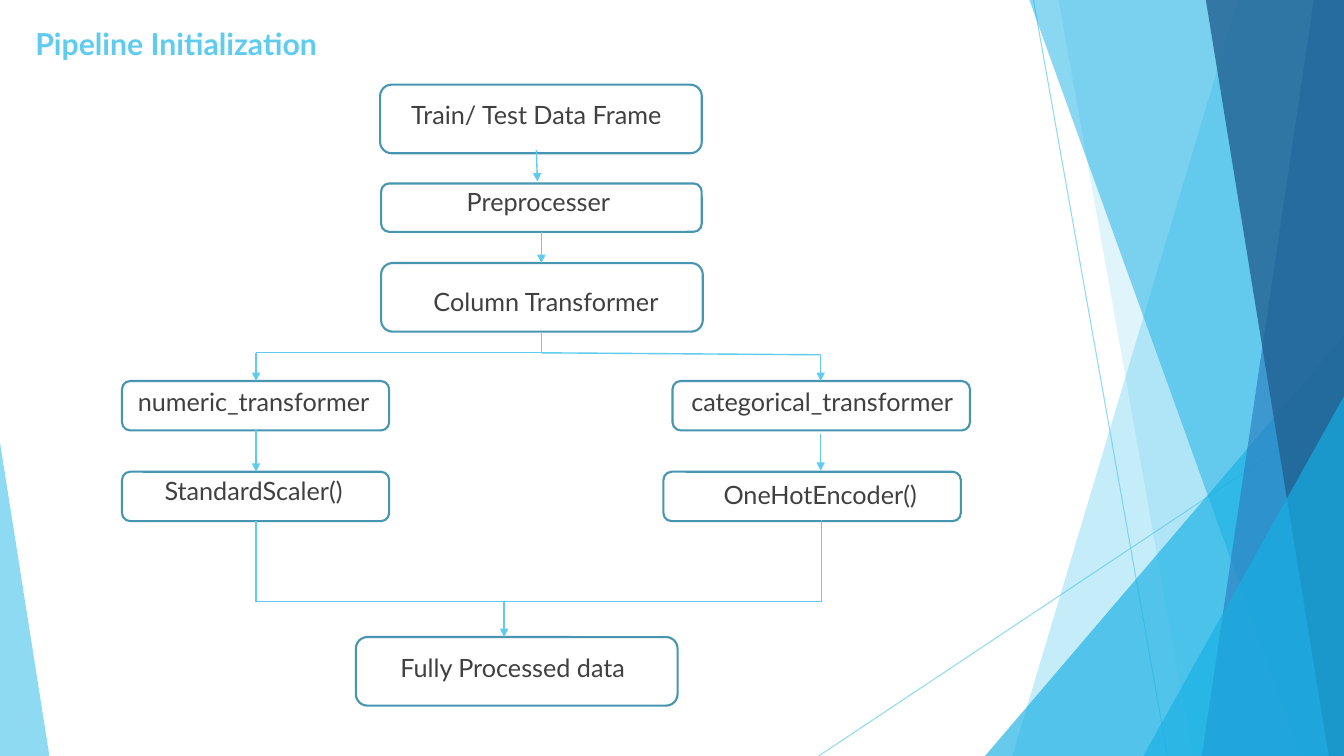
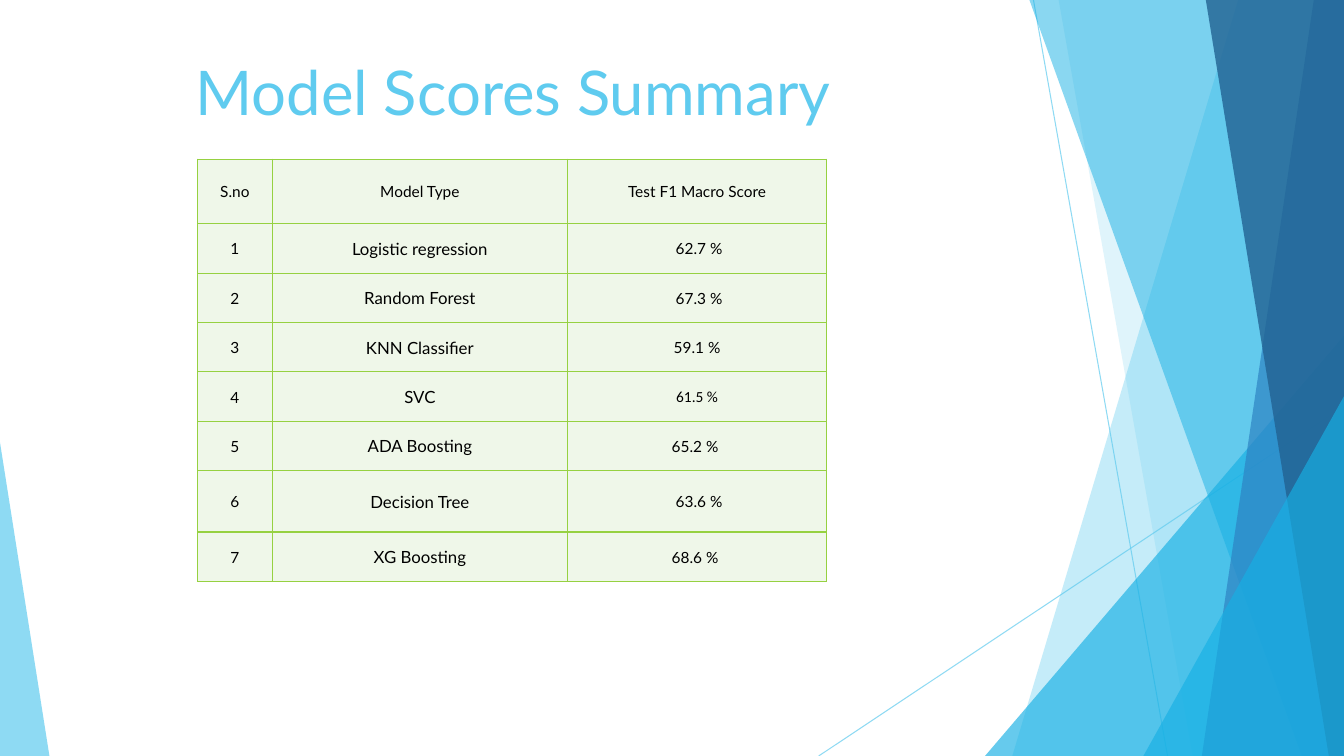
from lxml.etree import SubElement
from pptx import Presentation
from pptx.dml.color import RGBColor
from pptx.enum.shapes import MSO_CONNECTOR, MSO_SHAPE
from pptx.enum.text import MSO_ANCHOR, MSO_AUTO_SIZE, PP_ALIGN
from pptx.oxml.ns import qn
from pptx.util import Inches, Pt

COLOURS = {
    "sky": "5FCBEF", "cyan": "17B0E4", "blue": "2E83C3", "navy": "226292",
    "outline": "4696B1", "text": "404040", "black": "000000",
    "cell": "EFF7E9", "grid": "96D141",
}
FONT = "Lato"
WIDTH, HEIGHT = 13.33, 7.5

# Backdrop, from back to front
THIN_LINES = [((10.25, 0), (11.58, HEIGHT)), ((WIDTH, 4.03), (8.12, HEIGHT))]
# Right-hand facets: (top left x, bottom left x, colour, opacity %)
# Triangles: (left, top, width, apex, colour, opacity %)
FACETS = [
    (12.28, 10.04, "sky", 36),
    (10.5, 11.83, "sky", 20),
    (9.77, 3.33, 3.56, 1, "cyan", 66),
    (10.21, 12.91, "cyan", 50),
    (13.03, 11.92, "blue", 70),
    (11.96, 13.18, "navy", 80),
    (11.34, 3.93, 1.99, 1, "cyan", 66),
    (0, 4.39, 0.49, 0, "sky", 70),
]

PIPELINE_TITLE = "Pipeline Initialization"
BODY_STEP = "Preprocesser"
# (text, label left, top, width, box left, top, width, height)
STEPS = [
    ("Train/ Test Data Frame", 2.5, 0.94, 5.64, 3.77, 0.84, 3.19, 0.68),
    (BODY_STEP, 2.52, 1.8, 5.64, 3.78, 1.82, 3.18, 0.48),
    ("Column Transformer", 3.64, 2.79, 3.55, 3.78, 2.61, 3.19, 0.68),
    ("numeric_transformer", 0.74, 3.78, 3.55, 1.21, 3.78, 2.65, 0.49),
    ("categorical_transformer", 6.38, 3.78, 3.55, 6.67, 3.78, 2.95, 0.49),
    ("StandardScaler()", 0.74, 4.67, 3.55, 1.21, 4.68, 2.65, 0.49),
    ("OneHotEncoder()", 6.26, 4.71, 3.75, 6.58, 4.68, 2.95, 0.49),
    ("Fully Processed data", 3.31, 6.42, 3.55, 3.53, 6.32, 3.19, 0.68),
]
LABEL_HEIGHT = 0.58
# (points along the route, ends in an arrowhead)
ROUTES = [
    ([(5.32, 1.49), (5.33, 1.8)], True),
    ([(5.37, 2.3), (5.37, 2.61)], True),
    ([(5.37, 3.29), (5.37, 3.5), (2.54, 3.5), (2.54, 3.78)], True),
    ([(5.37, 3.5), (8.14, 3.52), (8.14, 3.78)], True),
    ([(2.54, 4.27), (2.54, 4.68)], True),
    ([(8.14, 4.31), (8.14, 4.67)], True),
    ([(2.54, 5.17), (2.54, 5.97), (8.15, 5.97), (8.15, 5.16)], False),
    ([(5, 5.97), (5, 6.32)], True),
]

SCORES_TITLE = "Model Scores Summary"
SCORES = [
    ("S.no", "Model Type", "Test F1 Macro Score"),
    ("1", "Logistic regression", " 62.7 %"),
    ("2", "Random Forest", " 67.3 %"),
    ("3", "KNN Classifier", " 59.1 % "),
    ("4", "SVC", "61.5 %"),
    ("5", "ADA Boosting", "65.2 % "),
    ("6", "Decision Tree", " 63.6 %"),
    ("7", "XG Boosting", "68.6 % "),
]
COLUMN_WIDTHS = [0.74, 2.93, 2.57]
ROW_HEIGHTS = [0.64, 0.49, 0.49, 0.49, 0.49, 0.49, 0.61, 0.49]


def colour(name):
    return RGBColor.from_string(COLOURS[name])


def inches(*values):
    return [Inches(value) for value in values]


def place(shape, *bounds):
    shape.left, shape.top, shape.width, shape.height = inches(*bounds)


def write(frame, text, size=18, color="text", bold=False, font=FONT,
          align=PP_ALIGN.CENTER, anchor=MSO_ANCHOR.TOP):
    frame.word_wrap = True
    frame.vertical_anchor = anchor
    para = frame.paragraphs[0]
    para.alignment = align
    para.space_before = Pt(0)
    span = para.add_run()
    span.text = text
    span.font.name = font
    span.font.size = Pt(size)
    span.font.bold = bold
    span.font.color.rgb = colour(color)


def fill_placeholder(shape, text, bounds, **style):
    place(shape, *bounds)
    frame = shape.text_frame
    frame.auto_size = MSO_AUTO_SIZE.NONE
    properties = frame.paragraphs[0]._p.get_or_add_pPr()
    properties.set("marL", "0")
    properties.set("indent", "0")
    SubElement(properties, qn("a:buNone"))
    write(frame, text, **style)


def set_opacity(shape, percent):
    for paint in shape.element.spPr.iter(qn("a:srgbClr")):
        SubElement(paint, qn("a:alpha"), val=str(percent * 1000))


def add_line(slide, start, end, weight=1, arrow=False):
    line = slide.shapes.add_connector(
        MSO_CONNECTOR.STRAIGHT, *inches(*start, *end))
    line.line.color.rgb = colour("sky")
    line.line.width = Pt(weight)
    properties = line.element.spPr
    if arrow:
        SubElement(properties.find(qn("a:ln")), qn("a:tailEnd"), type="triangle")
    SubElement(properties, qn("a:effectLst"))
    return line


def add_facet(slide, *facet):
    *geometry, color, opacity = facet
    if len(geometry) == 2:
        top_x, bottom_x = geometry
        outline = slide.shapes.build_freeform(*inches(top_x, 0), scale=1.0)
        corners = [(WIDTH, 0), (WIDTH, HEIGHT), (bottom_x, HEIGHT)]
        outline.add_line_segments([inches(*corner) for corner in corners])
        shape = outline.convert_to_shape()
    else:
        left, top, width, apex = geometry
        shape = slide.shapes.add_shape(
            MSO_SHAPE.ISOSCELES_TRIANGLE,
            *inches(left, top, width, HEIGHT - top))
        shape.adjustments[0] = apex
    shape.shadow.inherit = False
    shape.fill.solid()
    shape.fill.fore_color.rgb = colour(color)
    shape.line.fill.background()
    set_opacity(shape, opacity)
    return shape


def add_backdrop(deck, slide):
    """Draw the facets on a slide, then move them behind the master's text."""
    parts = [add_line(slide, *ends, weight=0.75) for ends in THIN_LINES]
    for line in parts:
        set_opacity(line, 70)
    parts += [add_facet(slide, *facet) for facet in FACETS]
    tree = deck.slide_master.shapes.element
    for order, part in enumerate(parts):
        part.element.xpath(".//p:cNvPr")[0].set("id", str(100 + order))
        tree.insert(2 + order, part.element)


def build_pipeline(slide):
    fill_placeholder(slide.shapes.title, PIPELINE_TITLE, (0.25, 0.2, 4.58, 0.58),
                     size=21.6, color="sky", bold=True, align=PP_ALIGN.LEFT)
    for text, left, top, width, *box_bounds in STEPS:
        bounds = (left, top, width, LABEL_HEIGHT)
        if text == BODY_STEP:
            fill_placeholder(slide.placeholders[1], text, bounds)
        else:
            label = slide.shapes.add_textbox(*inches(*bounds))
            write(label.text_frame, text)
        box = slide.shapes.add_shape(
            MSO_SHAPE.ROUNDED_RECTANGLE, *inches(*box_bounds))
        box.shadow.inherit = False
        box.fill.background()
        box.line.color.rgb = colour("outline")
        box.line.width = Pt(1.5)
    for points, arrow in ROUTES:
        for start, end in zip(points, points[1:]):
            add_line(slide, start, end, arrow=arrow and end == points[-1])


def format_cell(cell):
    cell.margin_left = cell.margin_right = cell.margin_top = Inches(0.01)
    cell.margin_bottom = 0
    properties = cell._tc.get_or_add_tcPr()
    for side in ("lnL", "lnR", "lnT", "lnB"):
        border = SubElement(properties, qn(f"a:{side}"), w=str(Pt(1)))
        paint = SubElement(border, qn("a:solidFill"))
        SubElement(paint, qn("a:srgbClr"), val=COLOURS["grid"])
    cell.fill.solid()
    cell.fill.fore_color.rgb = colour("cell")


def build_scores(slide):
    fill_placeholder(slide.shapes.title, SCORES_TITLE, (0.39, 0.48, 9.4, 1.44),
                     size=44, color="sky")
    table = slide.shapes.add_table(
        len(SCORES), len(COLUMN_WIDTHS),
        *inches(1.96, 1.58, sum(COLUMN_WIDTHS), sum(ROW_HEIGHTS))).table
    table.first_row = table.horz_banding = False
    for column, width in zip(table.columns, COLUMN_WIDTHS):
        column.width = Inches(width)
    for row, height in zip(table.rows, ROW_HEIGHTS):
        row.height = Inches(height)
    for row, values in enumerate(SCORES):
        for column, text in enumerate(values):
            cell = table.cell(row, column)
            format_cell(cell)
            write(cell.text_frame, text, color="black",
                  size=12 if row and column == 1 else 11,
                  font="Calibri" if text == "61.5 %" else FONT)
            cell.vertical_anchor = MSO_ANCHOR.MIDDLE


def main():
    deck = Presentation()
    deck.slide_width, deck.slide_height = inches(WIDTH, HEIGHT)
    pipeline = deck.slides.add_slide(deck.slide_layouts.get_by_name("Title and Content"))
    scores = deck.slides.add_slide(deck.slide_layouts.get_by_name("Title Only"))
    add_backdrop(deck, pipeline)
    build_pipeline(pipeline)
    build_scores(scores)
    deck.save("out.pptx")


if __name__ == "__main__":
    main()
